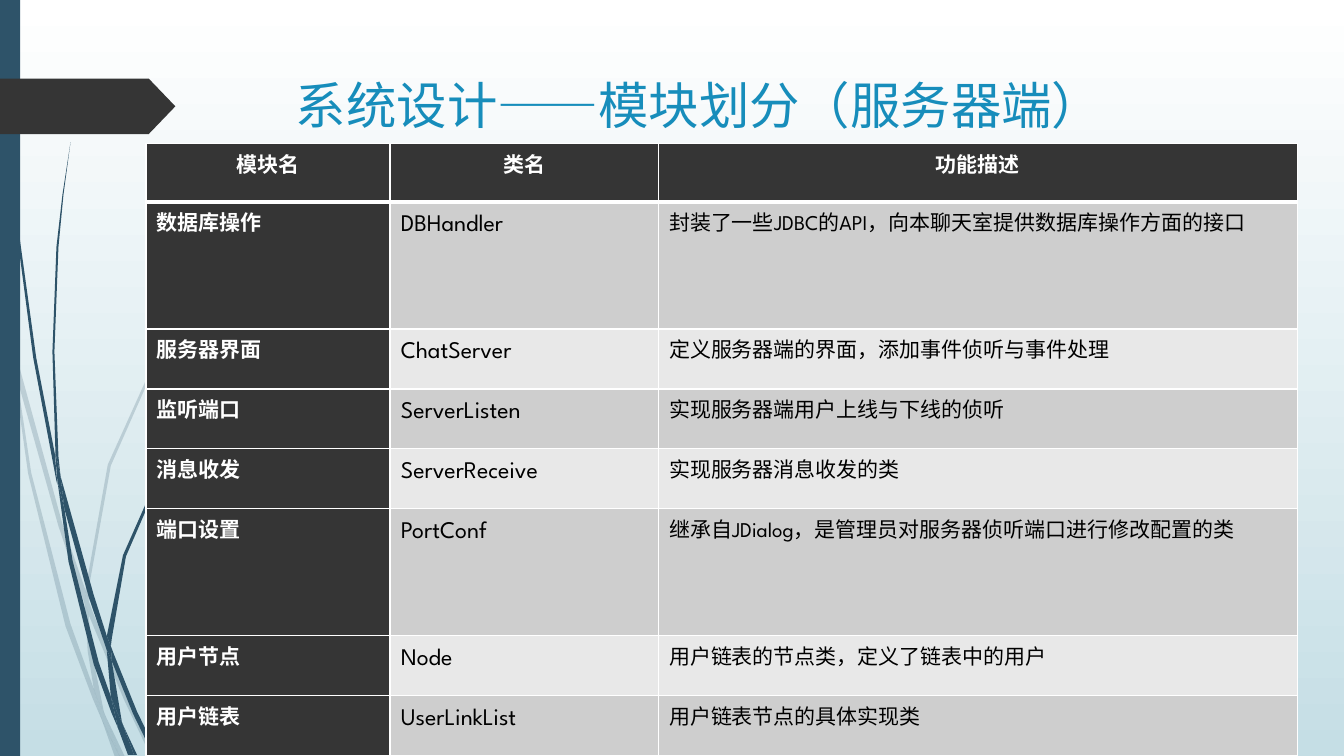
from dataclasses import dataclass

from lxml import etree
from pptx import Presentation
from pptx.dml.color import RGBColor
from pptx.enum.shapes import MSO_SHAPE
from pptx.enum.text import MSO_ANCHOR, PP_ALIGN
from pptx.oxml.ns import qn
from pptx.util import Cm, Pt

RECTANGLE, PENTAGON = MSO_SHAPE.RECTANGLE, MSO_SHAPE.PENTAGON
TOP = MSO_ANCHOR.TOP
LEFT, CENTER, JUSTIFY = PP_ALIGN.LEFT, PP_ALIGN.CENTER, PP_ALIGN.JUSTIFY


@dataclass(frozen=True)
class Theme:
    font: str = "League Spartan"
    white: str = "FFFFFF"
    black: str = "000000"
    sky: str = "C5DEE5"
    stem: str = "2E5369"
    dark: str = "353535"
    title: str = "178DBB"
    bands: tuple = ("E8E8E8", "CECECE")
    title_size: int = 36
    text_size: int = 15
    class_size: int = 17
    line_spacing: int = 25


theme = Theme()

STEM_UNIT = Cm(.0254)
PALE_STEMS = [
    [(11, 350), (9, 322), (0, 282), (0, 299), (10, 344)],
    [(58, 522), (84, 599), (85, 586), (62, 520), (14, 345), (17, 376)],
    [(92, 607), (88, 596), (88, 610), (123, 694), (150, 751), (155, 751), (127, 692)],
    [(119, 751), (124, 751), (105, 711)],
    [(93, 683), (70, 619), (31, 469), (17, 376), (11, 350), (28, 470), (65, 621), (92, 693),
     (101, 714), (99, 707)],
    [(84, 599), (87, 646), (93, 683), (96, 692), (105, 711), (103, 706), (91, 646), (88, 610),
     (88, 608)],
    [(88, 584), (110, 462), (160, 349), (229, 245), (268, 198), (290, 175), (312, 154), (312, 153),
     (289, 175), (268, 197), (228, 244), (158, 348), (107, 461), (85, 584), (85, 586), (88, 596)],
    [(101, 714), (114, 751), (119, 751)],
    [(88, 608), (88, 610), (88, 596), (85, 586), (84, 599)],
    [(96, 692), (93, 683), (99, 707), (101, 714), (119, 751), (105, 711)],
]
DARK_STEMS = [
    [(7, 110), (17, 233), (33, 355), (56, 477), (57, 481), (55, 457), (55, 453), (36, 355),
     (19, 232), (8, 109), (5, 48), (4, 0), (3, 0), (4, 48)],
    [(88, 592), (106, 645), (106, 633), (106, 631), (93, 590), (60, 472), (64, 505)],
    [(113, 649), (110, 641), (111, 656), (132, 708), (152, 749), (157, 749), (136, 706)],
    [(110, 691), (98, 657), (72, 556), (64, 505), (57, 477), (68, 557), (93, 659), (111, 708),
     (117, 722), (116, 717)],
    [(60, 472), (58, 453), (54, 349), (58, 245), (63, 193), (70, 141), (62, 193), (56, 245),
     (52, 349), (55, 449)],
    [(133, 749), (136, 749), (122, 719)],
    [(57, 477), (64, 505), (60, 472), (55, 449), (55, 453)],
    [(111, 633), (125, 552), (158, 476), (205, 406), (231, 374), (245, 359), (261, 344), (260, 344),
     (245, 358), (231, 373), (204, 405), (156, 474), (122, 551), (106, 631), (110, 641)],
    [(117, 722), (127, 749), (131, 749)],
    [(106, 645), (110, 691), (116, 706), (122, 719), (121, 716), (111, 656), (109, 651)],
    [(106, 645), (109, 651), (111, 656), (110, 641), (106, 631), (106, 633)],
    [(116, 706), (110, 691), (116, 717), (117, 722), (130, 749), (133, 749), (122, 719)],
]

COLUMN_WIDTHS = (6.15, 6.76, 16.1)
HEADER_HEIGHT, ROW_HEIGHT, TALL_HEIGHT = 1.48, 1.51, 3.2
TALL_ROWS = (1, 5)
MODULES = [
    ("模块名", "类名", "功能描述"),
    ("数据库操作", "DBHandler", "封装了一些JDBC的API，向本聊天室提供数据库操作方面的接口"),
    ("服务器界面", "ChatServer", "定义服务器端的界面，添加事件侦听与事件处理"),
    ("监听端口", "ServerListen", "实现服务器端用户上线与下线的侦听"),
    ("消息收发", "ServerReceive", "实现服务器消息收发的类"),
    ("端口设置", "PortConf", "继承自JDialog，是管理员对服务器侦听端口进行修改配置的类"),
    ("用户节点", "Node", "用户链表的节点类，定义了链表中的用户"),
    ("用户链表", "UserLinkList", "用户链表节点的具体实现类"),
]


def paint(shape, color):
    shape.shadow.inherit = False
    shape.fill.solid()
    shape.fill.fore_color.rgb = RGBColor.from_string(color)
    shape.line.fill.background()


def style_text(text_frame, size, color, bold, alignment):
    paragraph = text_frame.paragraphs[0]
    paragraph.alignment = alignment
    for run in paragraph.runs:
        run.font.name = theme.font
        run.font.size = Pt(size)
        run.font.bold = bold
        run.font.color.rgb = RGBColor.from_string(color)


presentation = Presentation()
presentation.slide_width, presentation.slide_height = Cm(33.87), Cm(19.05)
slide = presentation.slides.add_slide(presentation.slide_layouts[6])

background = slide.background.fill
background.gradient()
background.gradient_angle = 270
for stop, color in zip(background.gradient_stops, (theme.white, theme.sky)):
    stop.color.rgb = RGBColor.from_string(color)

for stems, opacity in ((PALE_STEMS, 20), (DARK_STEMS, 100)):
    for outline in stems:
        builder = slide.shapes.build_freeform(*outline[0], scale=STEM_UNIT)
        builder.add_line_segments(outline[1:], close=True)
        stem_shape = builder.convert_to_shape()
        paint(stem_shape, theme.stem)
        if opacity < 100:
            fill_color = stem_shape._element.spPr.find(f"{qn('a:solidFill')}/{qn('a:srgbClr')}")
            etree.SubElement(fill_color, qn("a:alpha"), val=str(opacity * 1000))

side_bar = slide.shapes.add_shape(RECTANGLE, 0, 0, Cm(.51), presentation.slide_height)
paint(side_bar, theme.stem)
title_tag = slide.shapes.add_shape(PENTAGON, 0, Cm(1.98), Cm(4.42), Cm(1.4))
title_tag.adjustments[0] = .48
paint(title_tag, theme.dark)

title = slide.shapes.add_textbox(Cm(7.21), Cm(1.75), Cm(24.77), Cm(3.56))
title.text_frame.word_wrap = True
title.text_frame.vertical_anchor = TOP
title.text_frame.text = "系统设计——模块划分（服务器端）"
style_text(title.text_frame, theme.title_size, theme.title, False, LEFT)

row_heights = [TALL_HEIGHT if row in TALL_ROWS else ROW_HEIGHT for row in range(len(MODULES))]
row_heights[0] = HEADER_HEIGHT
table = slide.shapes.add_table(
    len(MODULES), len(COLUMN_WIDTHS), Cm(3.68), Cm(3.61),
    Cm(sum(COLUMN_WIDTHS)), Cm(sum(row_heights))).table
for column, width in zip(table.columns, COLUMN_WIDTHS):
    column.width = Cm(width)

for row_index, module in enumerate(MODULES):
    table.rows[row_index].height = Cm(row_heights[row_index])
    for column_index, text in enumerate(module):
        cell = table.cell(row_index, column_index)
        is_header = row_index == 0
        is_label = is_header or column_index == 0
        cell.margin_left = cell.margin_right = Cm(.27)
        cell.margin_top = cell.margin_bottom = 0
        cell.vertical_anchor = TOP
        cell.text_frame.text = text
        cell.text_frame.paragraphs[0].line_spacing = Pt(theme.line_spacing)
        style_text(
            cell.text_frame,
            theme.class_size if column_index == 1 and not is_header else theme.text_size,
            theme.white if is_label else theme.black,
            is_label,
            CENTER if is_header else JUSTIFY)
        properties = cell._tc.get_or_add_tcPr()
        for side in "LRTB":
            thick = (row_index, side) in ((0, "B"), (1, "T"))
            border = etree.SubElement(properties, qn(f"a:ln{side}"), w=str(Pt(3 if thick else 1)))
            border_fill = etree.SubElement(border, qn("a:solidFill"))
            etree.SubElement(border_fill, qn("a:srgbClr"), val=theme.white)
        cell.fill.solid()
        cell.fill.fore_color.rgb = RGBColor.from_string(
            theme.dark if is_label else theme.bands[row_index % 2])

presentation.save("out.pptx")
